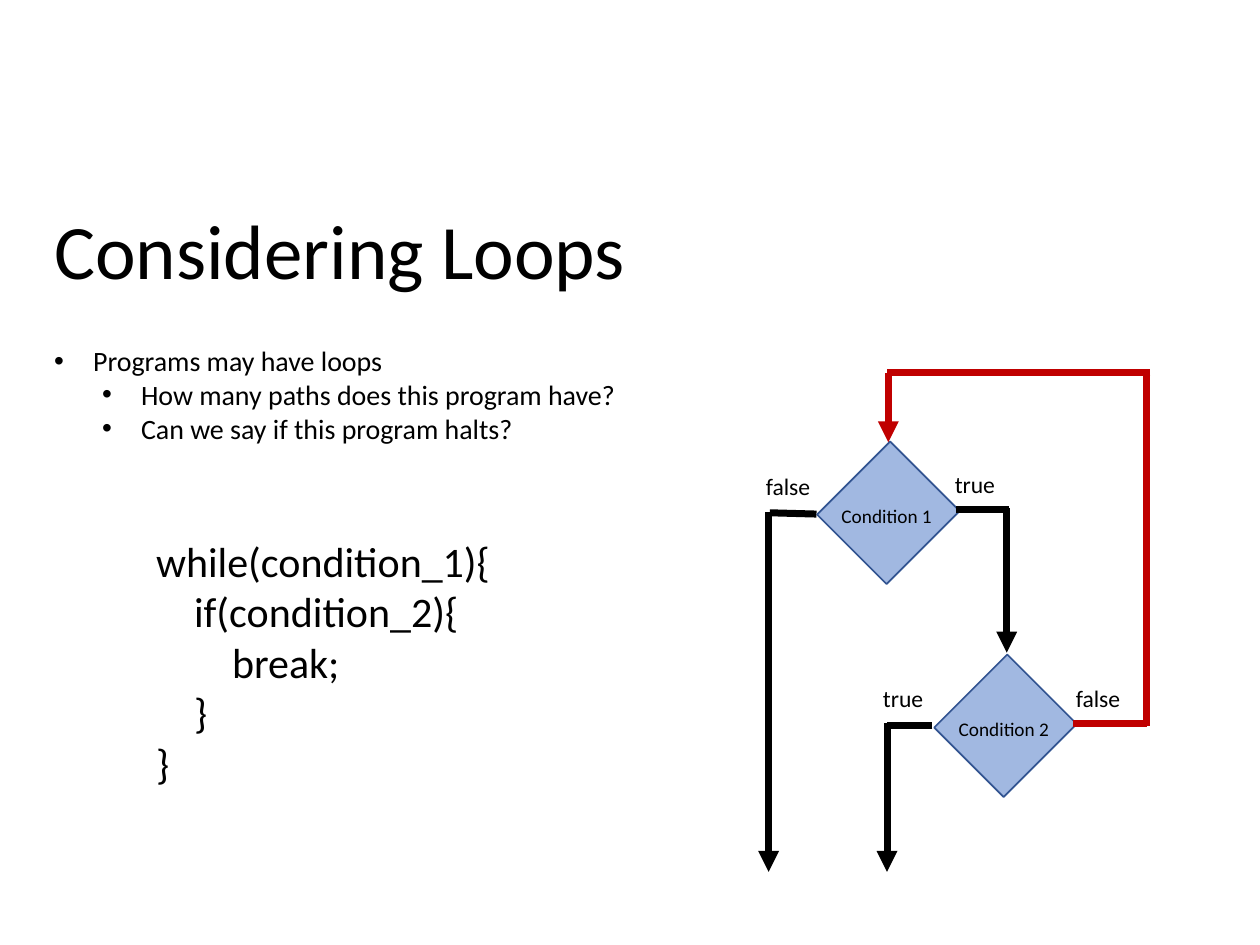
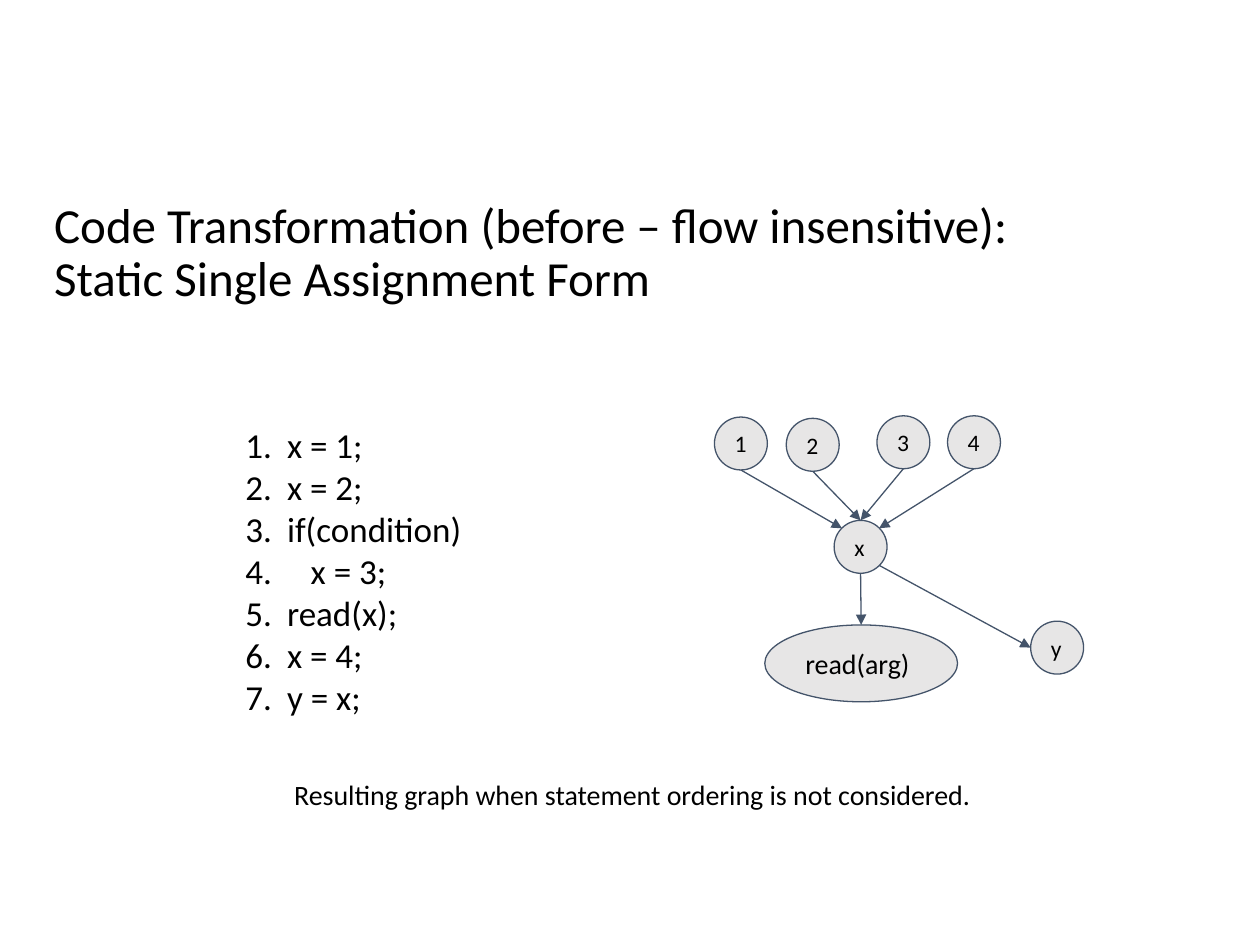
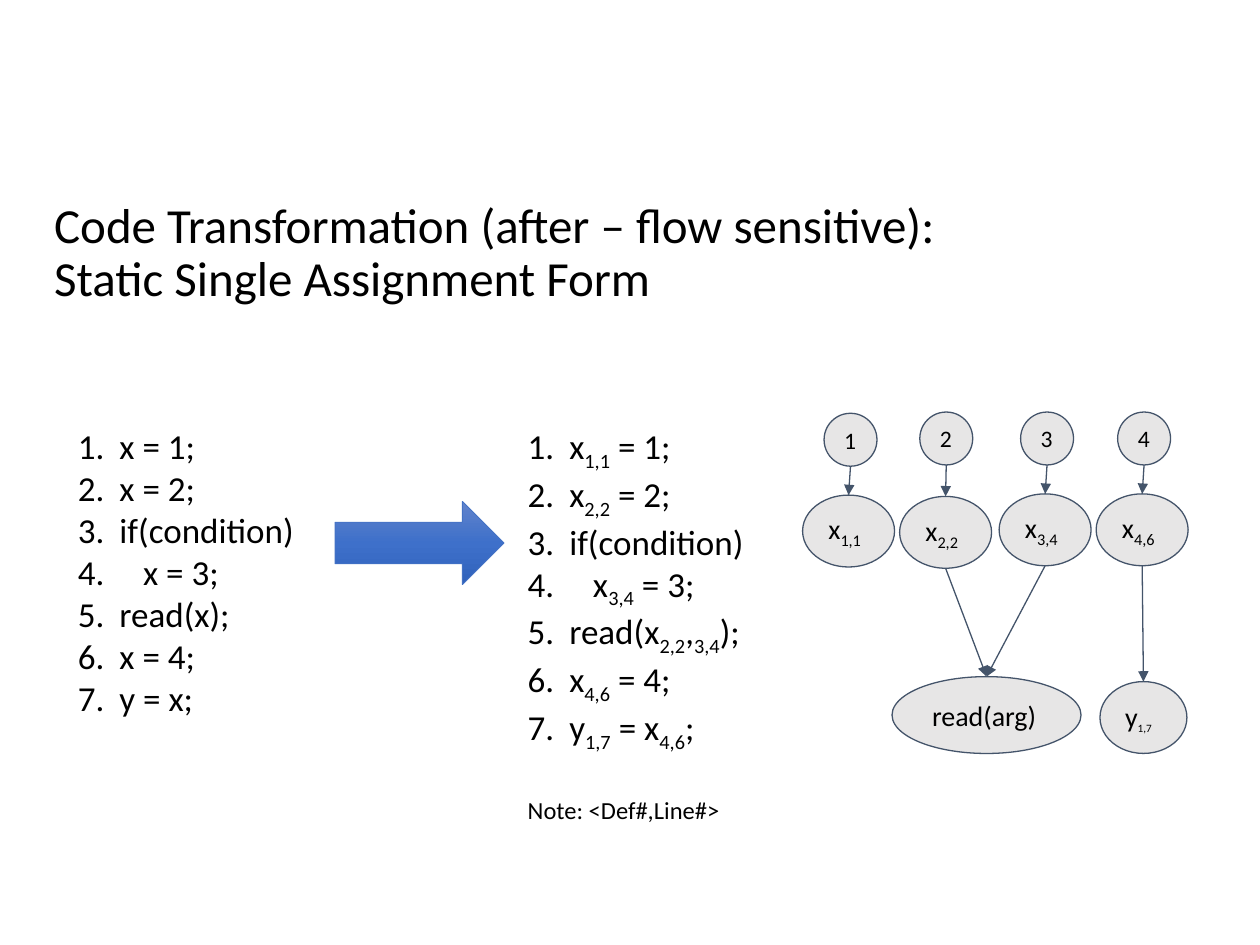
from dataclasses import dataclass
from copy import deepcopy
from lxml.etree import SubElement
from pptx import Presentation
from pptx.dml.color import RGBColor
from pptx.enum.shapes import MSO_CONNECTOR, MSO_SHAPE
from pptx.enum.text import MSO_ANCHOR, MSO_AUTO_SIZE, PP_ALIGN
from pptx.oxml.ns import qn
from pptx.util import Inches, Pt


@dataclass(frozen=True)
class Theme:
    font: str = "Calibri"
    ink: str = "000000"
    back: str = "FFFFFF"
    red: str = "C00000"
    blue: str = "4472C4"
    edge: str = "325491"
    slate: str = "44546A"
    pale: str = "E7E6E6"
    blend: tuple = ("6183CB", "3E70CA", "3062BB")
    head: float = 44
    subhead: float = 28
    code: float = 24
    list: float = 20
    body: float = 16
    note: float = 14
    label: float = 13.5
    small: float = 11
    thick: float = 4
    thin: float = 0.75


def tint(name):
    return RGBColor.from_string(name)


def spot(shape, across, down):
    x = shape.left + shape.width * across
    y = shape.top + shape.height * down
    return x / Inches(1), y / Inches(1)


class Deck:
    def __init__(self, theme):
        self.theme = theme
        self.show = Presentation()
        self.show.slide_width = Inches(10)
        self.show.slide_height = Inches(7.5)
        self.slide = None

    def start(self, title, size, layout=5):
        self.slide = self.show.slides.add_slide(self.show.slide_layouts[layout])
        back = self.slide.background.fill
        back.solid()
        back.fore_color.rgb = tint(self.theme.back)
        shape = self.slide.shapes.title
        self.place(shape, 0.33, 1.61, 8.62, 0.82)
        frame = shape.text_frame
        frame.auto_size = MSO_AUTO_SIZE.NONE
        frame.vertical_anchor = MSO_ANCHOR.MIDDLE
        self.letter(frame, title, size)
        for para in frame.paragraphs:
            para.line_spacing = 0.9

    def place(self, shape, *box):
        shape.left, shape.top, shape.width, shape.height = map(Inches, box)

    def letter(self, frame, text, size, align=PP_ALIGN.LEFT):
        frame.text = text
        for para in frame.paragraphs:
            first, *rest = para.text.split("|")
            para.text = first
            para.alignment = align
            for i, part in enumerate(rest):
                run = para.add_run()
                run.text = part
                if i % 2 == 0:
                    run.font._element.set("baseline", "-25000")
            for run in para.runs:
                run.font.size = Pt(size)
                run.font.name = self.theme.font
                run.font.color.rgb = tint(self.theme.ink)

    def indent(self, para, left, hang):
        props = para._p.get_or_add_pPr()
        props.set("marL", str(Inches(left)))
        props.set("indent", str(-Inches(hang)))
        return props

    def points(self, items):
        shape = self.slide.placeholders[1]
        self.place(shape, 0.33, 2.68, 8.94, 0.91)
        frame = shape.text_frame
        frame.auto_size = MSO_AUTO_SIZE.NONE
        self.letter(frame, "\n".join(text for _, text in items), self.theme.body)
        for para, (level, _) in zip(frame.paragraphs, items):
            para.level = level
            para.space_before = Pt(0)
            props = self.indent(para, 0.31 + 0.38 * level, 0.31)
            SubElement(props, qn("a:buFont")).set("typeface", "Arial")
            SubElement(props, qn("a:buChar")).set("char", "•")

    def text(self, text, size, box, align=PP_ALIGN.LEFT):
        shape = self.slide.shapes.add_textbox(*map(Inches, box))
        frame = shape.text_frame
        frame.word_wrap = False
        frame.auto_size = MSO_AUTO_SIZE.SHAPE_TO_FIT_TEXT
        self.letter(frame, text, size, align)
        return frame

    def steps(self, lines, box, note=None):
        rows = [f"{n}.\t{line}" for n, line in enumerate(lines, 1)]
        if note:
            rows.append(note)
        frame = self.text("\n".join(rows), self.theme.list, box)
        for para in frame.paragraphs[:len(lines)]:
            self.indent(para, 0.33, 0.33)
        if note:
            last = frame.paragraphs[-1]
            last.space_before = Pt(24)
            last.runs[0].font.size = Pt(self.theme.note)

    def shape(self, kind, box, fill, edge, width):
        shape = self.slide.shapes.add_shape(kind, *map(Inches, box))
        shape.shadow.inherit = False
        shape.fill.solid()
        shape.fill.fore_color.rgb = tint(fill)
        shape.line.color.rgb = tint(edge)
        shape.line.width = Pt(width)
        return shape

    def node(self, text, x, y, wide=0.42, high=0.42, size=None):
        theme = self.theme
        shape = self.shape(MSO_SHAPE.OVAL, (x, y, wide, high), theme.pale, theme.slate, theme.thin)
        frame = shape.text_frame
        frame.margin_left = frame.margin_right = Inches(0.1)
        frame.margin_top = frame.margin_bottom = Inches(0.1)
        frame.vertical_anchor = MSO_ANCHOR.MIDDLE
        self.letter(frame, text, size or theme.label)
        return shape

    def test(self, text, x, y):
        theme = self.theme
        shape = self.shape(MSO_SHAPE.RECTANGLE, (x, y, 0.78, 0.82), theme.blue, theme.edge, 1)
        shape.rotation = 45
        color = shape.fill._xPr.find(qn("a:solidFill"))[0]
        SubElement(color, qn("a:alpha")).set("val", "50000")
        self.text(text, theme.small, (x - 0.08, y + 0.29, 0.92, 0.29))

    def arrow(self, *box):
        shape = self.shape(MSO_SHAPE.RIGHT_ARROW, box, self.theme.blue, self.theme.blue, 0.5)
        shape.fill.gradient()
        shape.fill.gradient_angle = 270
        stops = shape.fill._xPr.find(qn("a:gradFill")).find(qn("a:gsLst"))
        stops.insert(1, deepcopy(stops[0]))
        for i, (stop, color) in enumerate(zip(shape.fill.gradient_stops, self.theme.blend)):
            stop.position = i / 2
            stop.color.rgb = tint(color)

    def line(self, start, end, color, width, tip=False):
        ends = map(Inches, (*start, *end))
        line = self.slide.shapes.add_connector(MSO_CONNECTOR.STRAIGHT, *ends)
        line.line.color.rgb = tint(color)
        line.line.width = Pt(width)
        if tip:
            SubElement(line.line._get_or_add_ln(), qn("a:tailEnd")).set("type", "triangle")
        SubElement(line._element.spPr, qn("a:effectLst"))

    def link(self, start, end, out=(0.5, 1), into=(0.5, 0)):
        self.line(spot(start, *out), spot(end, *into), self.theme.slate, self.theme.thin, True)


def loops(deck):
    theme = deck.theme
    deck.start("Considering Loops", theme.head, 1)
    deck.points([
        (0, "Programs may have loops"),
        (1, "How many paths does this program have?"),
        (1, "Can we say if this program halts?"),
    ])
    deck.test("Condition 1", 6.66, 3.66)
    deck.test("Condition 2", 7.59, 5.35)
    for start, end, color, tip in (
        ((6.1, 4.06), (6.1, 6.92), theme.ink, True),
        ((8.01, 4.04), (7.59, 4.04), theme.ink, False),
        ((7.99, 4.03), (7.99, 5.18), theme.ink, True),
        ((6.48, 4.08), (6.11, 4.07), theme.ink, False),
        ((7.05, 2.96), (7.05, 3.51), theme.red, True),
        ((9.1, 5.74), (8.52, 5.74), theme.red, False),
        ((7.4, 5.76), (7.04, 5.76), theme.ink, False),
        ((9.13, 2.96), (7.04, 2.96), theme.red, False),
        ((9.1, 5.76), (9.1, 2.96), theme.red, False),
        ((7.04, 5.74), (7.04, 6.92), theme.ink, True),
    ):
        deck.line(start, end, color, theme.thick, tip)
    for text, x, y, wide in (
        ("false", 5.98, 3.7, 0.68),
        ("true", 7.48, 3.68, 0.63),
        ("true", 6.91, 5.38, 0.63),
        ("false", 8.44, 5.38, 0.68),
    ):
        deck.text(text, theme.label, (x, y, wide, 0.4))
    code = """while(condition_1){
    if(condition_2){
        break;
    }
}"""
    deck.text(code, theme.code, (1.14, 4.2, 2.88, 2.12))


PLAIN = ["x = 1;", "x = 2;", "if(condition)", "   x = 3;", "read(x);", "x = 4;", "y = x;"]
SPLIT = ["x|1,1| = 1;", "x|2,2| = 2;", "if(condition)", "   x|3,4| = 3;",
         "read(x|2,2|,|3,4|);", "x|4,6| = 4;", "y|1,7| = x|4,6|;"]


def before(deck):
    theme = deck.theme
    deck.start("Code Transformation (before – flow insensitive):\nStatic Single Assignment Form",
               theme.subhead)
    deck.steps(PLAIN, (1.85, 3.31, 1.94, 2.46))
    hub = deck.node("x", 6.62, 4.13)
    read = deck.node("read(arg)", 6.07, 4.96, 1.53, 0.61, theme.body)
    out = deck.node("y", 8.18, 4.93)
    for text, x, y, side in (
        ("1", 5.67, 3.31, (0.15, 0.15)),
        ("2", 6.24, 3.32, (0.5, 0)),
        ("3", 6.96, 3.3, (0.5, 0)),
        ("4", 7.52, 3.3, (0.85, 0.15)),
    ):
        deck.link(deck.node(text, x, y), hub, into=side)
    deck.link(hub, read)
    deck.link(hub, out, (0.85, 0.85), (0, 0.5))
    deck.text("Resulting graph when statement ordering is not considered.",
              theme.body, (2.2, 6.12, 5.64, 0.37), PP_ALIGN.CENTER)


def after(deck):
    theme = deck.theme
    deck.start("Code Transformation (after – flow sensitive):\nStatic Single Assignment Form",
               theme.subhead)
    deck.steps(PLAIN, (0.52, 3.32, 1.94, 2.46))
    deck.arrow(2.66, 3.98, 1.34, 0.66)
    deck.steps(SPLIT, (4.09, 3.32, 1.97, 3.06), "Note: <Def#,Line#>")
    read = deck.node("read(arg)", 7.08, 5.37, 1.5, 0.61, theme.body)
    out = deck.node("y|1,7", 8.73, 5.41, 0.69, 0.57, theme.body)
    out.text_frame.paragraphs[0].runs[1].font.size = Pt(theme.small)
    for text, x, y, name, left, top, goal in (
        ("1", 6.54, 3.28, "x|1,1", 6.37, 3.93, None),
        ("2", 7.3, 3.27, "x|2,2", 7.14, 3.94, read),
        ("3", 8.1, 3.27, "x|3,4", 7.93, 3.92, read),
        ("4", 8.87, 3.27, "x|4,6", 8.7, 3.92, out),
    ):
        value = deck.node(text, x, y)
        state = deck.node(name, left, top, 0.73, 0.57, theme.body)
        deck.link(value, state)
        if goal:
            deck.link(state, goal)


def main():
    deck = Deck(Theme())
    loops(deck)
    before(deck)
    after(deck)
    deck.show.save("out.pptx")


if __name__ == "__main__":
    main()
